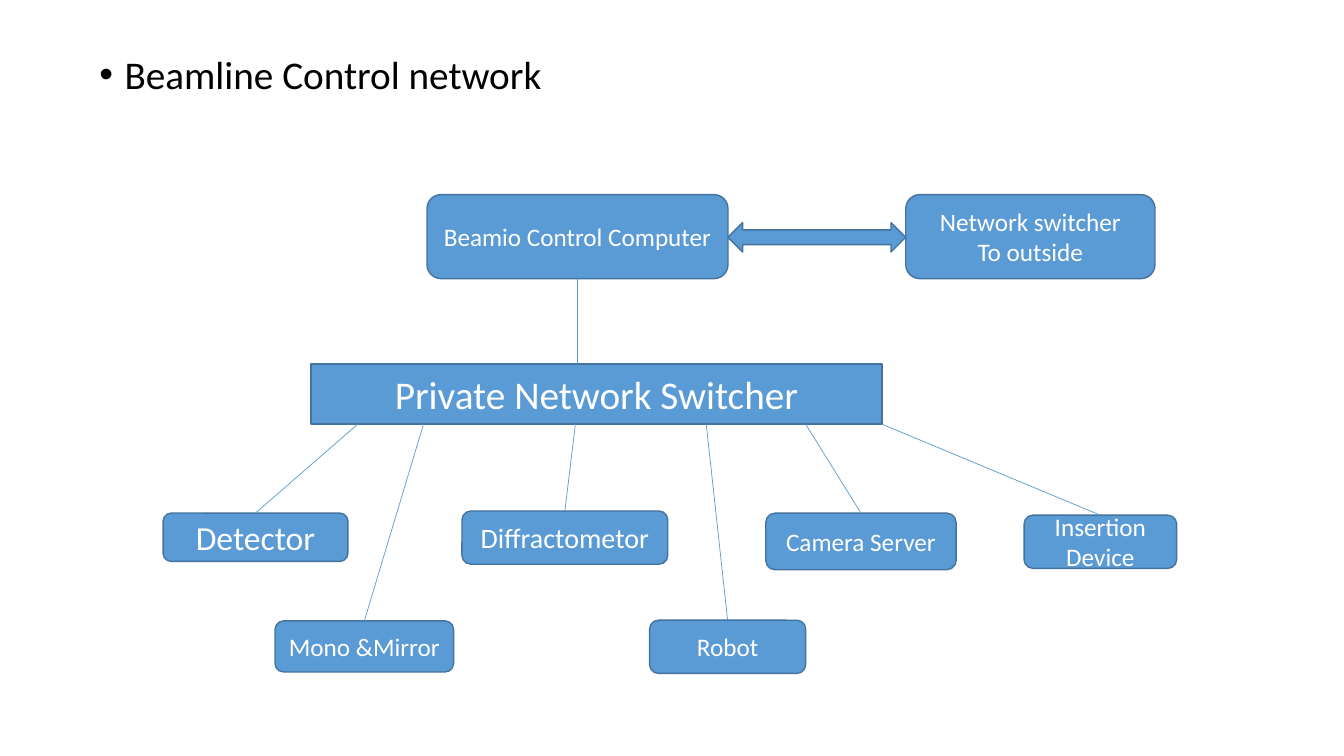
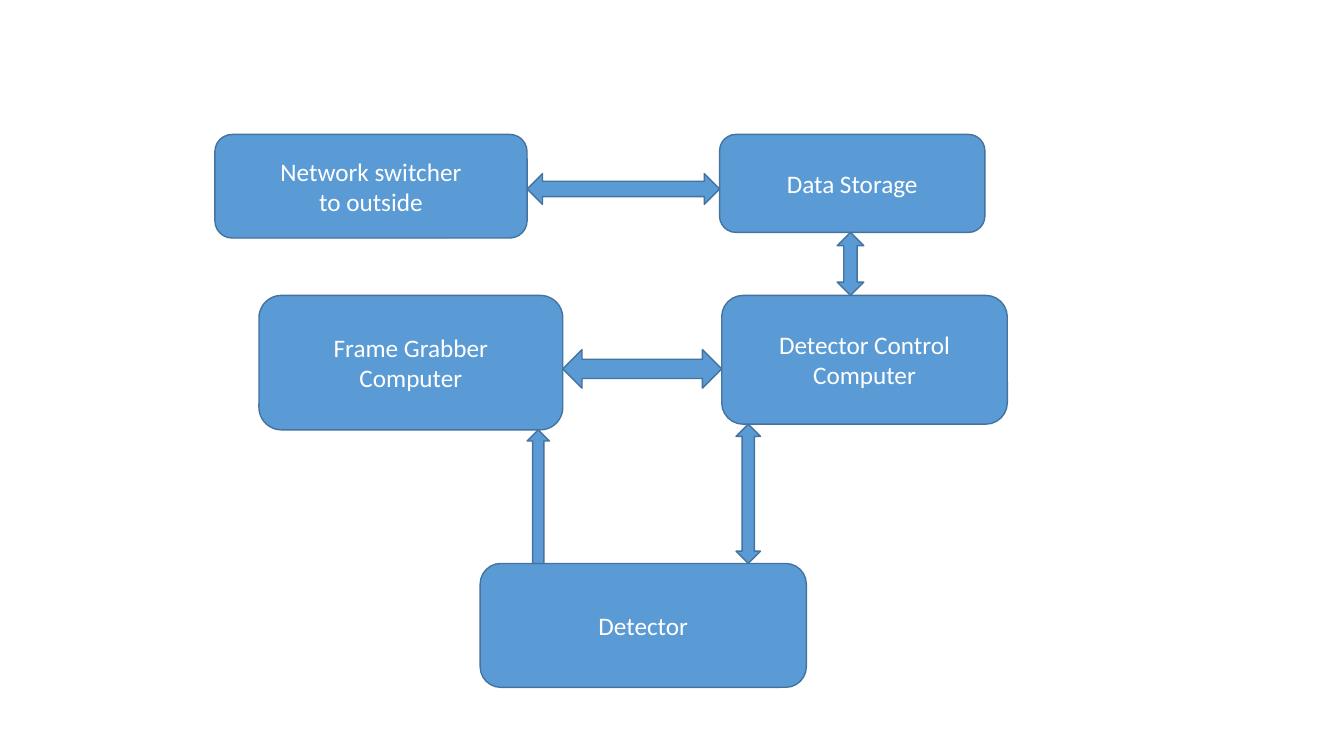
import dataclasses

import lxml.etree
import pptx
import pptx.dml.color
import pptx.enum.shapes
import pptx.enum.text
import pptx.oxml.ns
import pptx.util

Pt = pptx.util.Pt
RGB = pptx.dml.color.RGBColor.from_string
SHAPE = pptx.enum.shapes.MSO_SHAPE
ALIGN = pptx.enum.text.PP_ALIGN
ANCHOR = pptx.enum.text.MSO_ANCHOR
qn = pptx.oxml.ns.qn


@dataclasses.dataclass(frozen=True)
class Theme:
    font: str = "Calibri"
    fill: str = "5B9BD5"
    outline: str = "43739E"
    ink: str = "000000"
    light: str = "FFFFFF"
    outline_width: float = 1
    link_width: float = 0.5
    title: float = 28
    large: float = 24
    medium: float = 20
    body: float = 18


THEME = Theme()


@dataclasses.dataclass(frozen=True)
class Box:
    """A rectangle in points."""
    x: float
    y: float
    w: float
    h: float

    @property
    def right(self):
        return self.x + self.w

    @property
    def bottom(self):
        return self.y + self.h

    @property
    def cx(self):
        return self.x + self.w / 2

    def inside(self, x, y, w, h):
        return Box(self.x + x, self.y + y, w, h)

    def lengths(self):
        return [Pt(v) for v in (self.x, self.y, self.w, self.h)]


# Shared parts
def add_run(p, text, size, color):
    r = p.add_run()
    r.text = text
    r.font.name = THEME.font
    r.font.size = Pt(size)
    r.font.color.rgb = RGB(color)


def add_block(s, kind, box):
    sp = s.shapes.add_shape(kind, *box.lengths())
    sp.shadow.inherit = False
    sp.fill.solid()
    sp.fill.fore_color.rgb = RGB(THEME.fill)
    sp.line.color.rgb = RGB(THEME.outline)
    sp.line.width = Pt(THEME.outline_width)
    return sp


def add_node(s, box, lines, size=THEME.body, kind=SHAPE.ROUNDED_RECTANGLE):
    tf = add_block(s, kind, box).text_frame
    tf.word_wrap = True
    tf.vertical_anchor = ANCHOR.MIDDLE
    for i, line in enumerate(lines):
        p = tf.add_paragraph() if i else tf.paragraphs[0]
        p.alignment = ALIGN.CENTER
        add_run(p, line, size, THEME.light)
    return box


def add_link(s, x1, y1, x2, y2):
    line = s.shapes.add_connector(pptx.enum.shapes.MSO_CONNECTOR.STRAIGHT,
                                  Pt(x1), Pt(y1), Pt(x2), Pt(y2))
    line.line.color.rgb = RGB(THEME.fill)
    line.line.width = Pt(THEME.link_width)
    lxml.etree.SubElement(line._element.spPr, qn("a:effectLst"))


def arrow_across(s, left, right, cy, thick):
    add_block(s, SHAPE.LEFT_RIGHT_ARROW,
              Box(left.right, cy - thick / 2, right.x - left.right, thick))


def arrow_down(s, upper, lower, cx, thick, kind=SHAPE.UP_DOWN_ARROW):
    add_block(s, kind, Box(cx - thick / 2, upper.bottom, thick, lower.y - upper.bottom))


def add_bullet_title(s, box, text):
    tf = s.shapes.add_textbox(*box.lengths()).text_frame
    tf.word_wrap = True
    p = tf.paragraphs[0]
    p.line_spacing = 0.9
    p.space_before = Pt(10)
    pPr = p._p.get_or_add_pPr()
    pPr.set("marL", str(Pt(18)))
    pPr.set("indent", str(-Pt(18)))
    lxml.etree.SubElement(pPr, qn("a:buFont")).set("typeface", "Arial")
    lxml.etree.SubElement(pPr, qn("a:buChar")).set("char", "•")
    add_run(p, text, THEME.title, THEME.ink)


# Beamline network: computers on top, switcher, devices below
def beamline_network(s, area):
    control = add_node(s, area.inside(189, 0, 215, 60), ["Beamio Control Computer"])
    outside = add_node(s, area.inside(531, 0, 178, 60), ["Network switcher", "To outside"])
    arrow_across(s, control, outside, area.y + 30.5, 21)

    switcher = add_node(s, area.inside(106, 121, 408, 43), ["Private Network Switcher"],
                        THEME.title, SHAPE.RECTANGLE)
    add_link(s, control.cx, control.bottom, control.cx, switcher.y)

    # Device label, type size, place, and where its link leaves the switcher
    devices = [
        ("Detector", THEME.large, (0.5, 227.5, 132, 34.5), 139.5),
        ("Mono &Mirror", THEME.body, (80.5, 304.5, 127.5, 36.5), 186.5),
        ("Diffractometor", THEME.medium, (214, 226, 147, 38), 295),
        ("Robot", THEME.body, (348, 304, 111.5, 38), 388.5),
        ("Camera Server", THEME.body, (431, 227.5, 136, 40.5), 459.5),
        ("Insertion Device", THEME.body, (615.5, 229, 109, 38), 514),
    ]
    for label, size, place, start in devices:
        device = add_node(s, area.inside(*place), [label], size)
        add_link(s, area.x + start, switcher.bottom, device.cx, device.y)


# Detector data flow: detector at the bottom, storage and network on top
def detector_network(s, area):
    outside = add_node(s, area.inside(0.5, 0, 223, 74), ["Network switcher", "to outside"])
    storage = add_node(s, area.inside(361, 0, 189.5, 70), ["Data Storage"])
    grabber = add_node(s, area.inside(32, 115, 217, 96), ["Frame Grabber", "Computer"])
    control = add_node(s, area.inside(362.5, 115, 204, 92), ["Detector Control", "Computer"])
    detector = add_node(s, area.inside(190, 306.5, 233, 88.5), ["Detector"])

    arrow_across(s, outside, storage, area.y + 39, 22)
    arrow_across(s, grabber, control, area.y + 167.5, 27.5)
    arrow_down(s, storage, control, area.x + 454.5, 19)
    arrow_down(s, control, detector, area.x + 381.5, 17.5)
    arrow_down(s, grabber, detector, area.x + 231.5, 16, SHAPE.UP_ARROW)


prs = pptx.Presentation()
prs.slide_width, prs.slide_height = Pt(960), Pt(540)
blank = prs.slide_layouts[6]

s = prs.slides.add_slide(blank)
add_bullet_title(s, Box(64, 36, 828, 492), "Beamline Control network")
beamline_network(s, Box(116, 139, 725, 342))

s = prs.slides.add_slide(blank)
detector_network(s, Box(153, 96, 567, 395))

prs.save("out.pptx")
